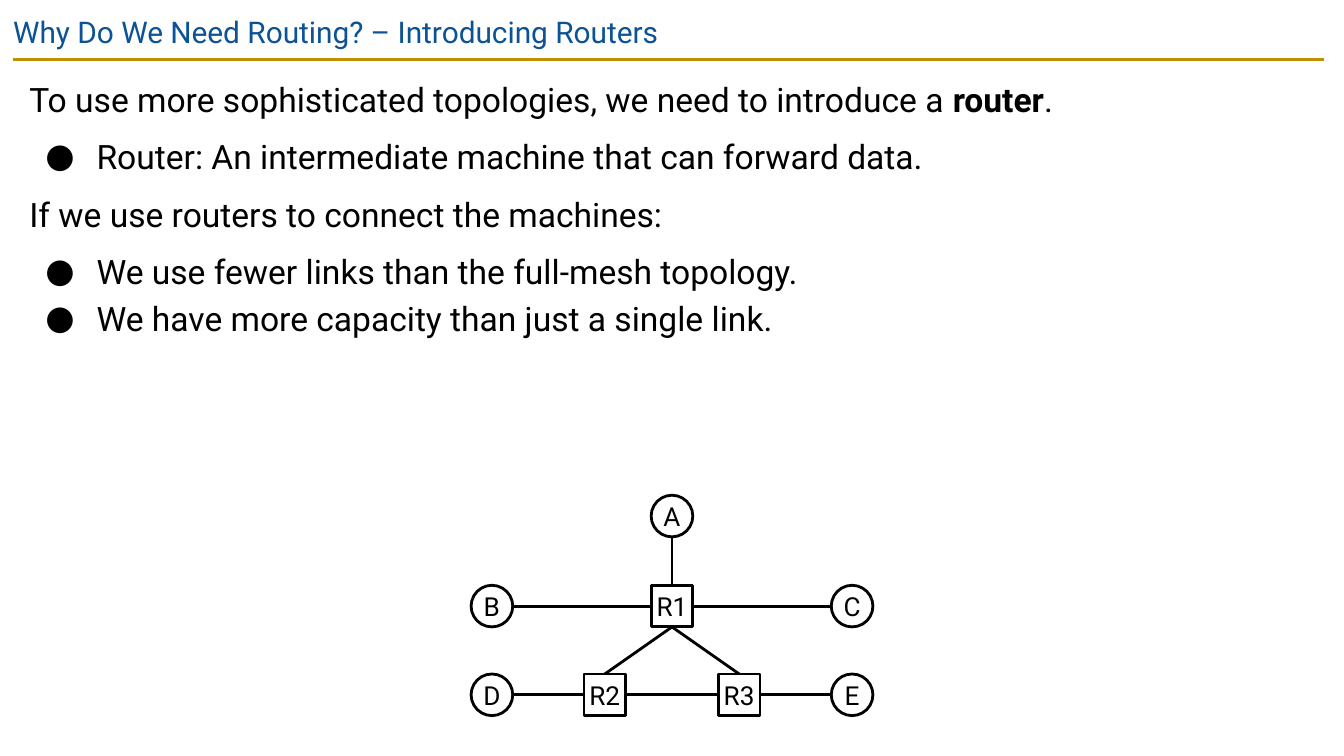
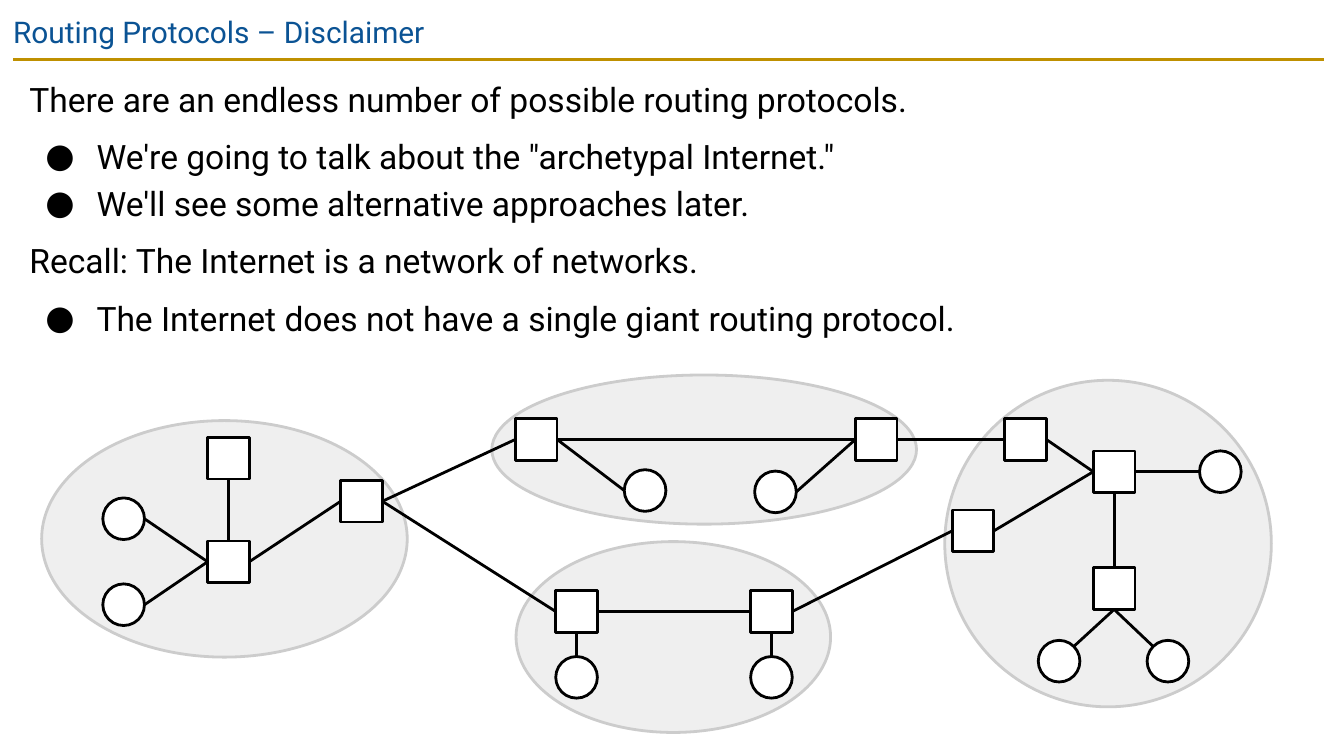
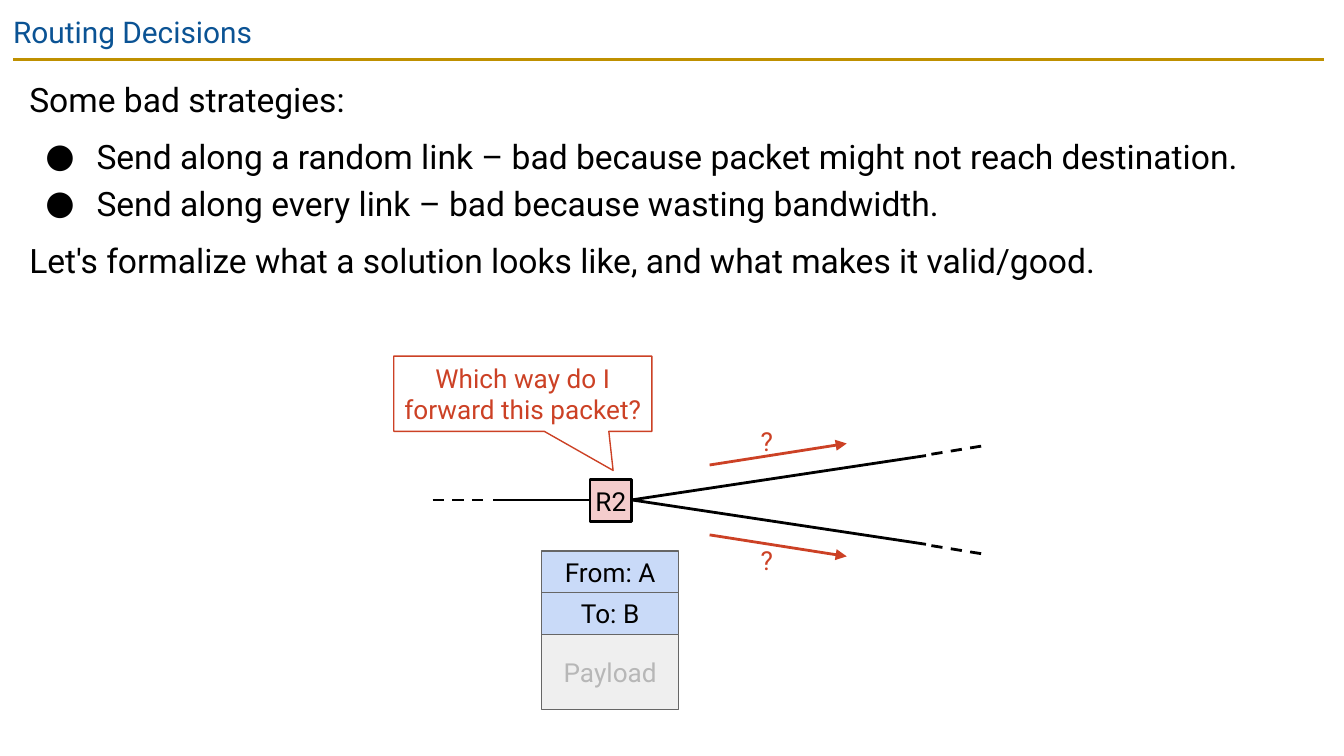
from lxml.etree import SubElement
from pptx import Presentation
from pptx.dml.color import RGBColor
from pptx.enum.dml import MSO_LINE as Dash
from pptx.enum.shapes import MSO_CONNECTOR as Link, MSO_SHAPE as Kind
from pptx.enum.text import MSO_ANCHOR as Anchor, PP_ALIGN as Align
from pptx.oxml.ns import qn
from pptx.util import Inches, Pt

FONT = "Roboto"
BLACK, WHITE, BLUE, GOLD = "000000", "FFFFFF", "0B5394", "BF9000"
RED, PINK, SKY = "CC4125", "F4CCCC", "C9DAF8"
PALE, SILVER, GRAY, DARK = "EFEFEF", "CCCCCC", "B7B7B7", "666666"
SIZE = 0.31
HALF = SIZE / 2
ARC = 0.11
SIDES = {
    "t": (0, -HALF), "b": (0, HALF), "l": (-HALF, 0), "r": (HALF, 0),
    "tl": (-ARC, -ARC), "tr": (ARC, -ARC),
}
hue = RGBColor.from_string


def put(slide, kind, box, text="", ink=BLACK, fill=None, edge=BLACK, width=1.5):
    box = [Inches(v) for v in box]
    if kind is None:
        shape = slide.shapes.add_textbox(*box)
    else:
        shape = slide.shapes.add_shape(kind, *box)
        shape.shadow.inherit = False
        shape.line.color.rgb = hue(edge)
        shape.line.width = Pt(width)
        if fill:
            shape.fill.solid()
            shape.fill.fore_color.rgb = hue(fill)
        else:
            shape.fill.background()
    frame = shape.text_frame
    frame.word_wrap = True
    frame.margin_left = frame.margin_right = 0
    frame.margin_top = frame.margin_bottom = 0
    frame.vertical_anchor = Anchor.MIDDLE
    if text:
        par = frame.paragraphs[0]
        par.text = text
        par.alignment = Align.CENTER
        par.font.name, par.font.size = FONT, Pt(14)
        par.font.color.rgb = hue(ink)
    return shape


def join(slide, ends, ink=BLACK, dash=False, arrow=False):
    wire = slide.shapes.add_connector(Link.STRAIGHT, *[Inches(v) for v in ends])
    wire.line.color.rgb = hue(ink)
    wire.line.width = Pt(1.5)
    if dash:
        wire.line.dash_style = Dash.DASH
    if arrow:
        SubElement(wire.line._get_or_add_ln(), qn("a:tailEnd"), type="triangle")
    SubElement(wire._element.spPr, qn("a:effectLst"))


pages = [
    ("Why Do We Need Routing? – Introducing Routers", 2.37, [
        "To use more sophisticated topologies, we need to introduce a *router*.",
        "● Router: An intermediate machine that can forward data.",
        "If we use routers to connect the machines:",
        "● We use fewer links than the full-mesh topology.",
        "● We have more capacity than just a single link.",
    ]),
    ("Routing Protocols – Disclaimer", 2.16, [
        "There are an endless number of possible routing protocols.",
        "● We're going to talk about the \"archetypal Internet.\"",
        "● We'll see some alternative approaches later.",
        "Recall: The Internet is a network of networks.",
        "● The Internet does not have a single giant routing protocol.",
    ]),
    ("Routing Decisions", 1.8, [
        "Some bad strategies:",
        "● Send along a random link – bad because packet might not reach destination.",
        "● Send along every link – bad because wasting bandwidth.",
        "Let's formalize what a solution looks like, and what makes it valid/good.",
    ]),
]

deck = Presentation()
deck.slide_width = Inches(10)
deck.slide_height = deck.slide_width * 9 // 16
slides = []
for title, height, lines in pages:
    slide = deck.slides.add_slide(deck.slide_layouts[6])
    slides.append(slide)
    join(slide, (0.1, 0.44, 9.85, 0.44), GOLD)

    head = put(slide, None, (0, 0, 10, 0.43), title, BLUE).text_frame
    par = head.paragraphs[0]
    par.alignment = Align.LEFT
    par.font.size = Pt(16)

    body = put(slide, None, (0.12, 0.44, 9.74, height)).text_frame
    for frame in (head, body):
        frame.vertical_anchor = Anchor.TOP
        frame.margin_left = frame.margin_right = Inches(0.1)
        frame.margin_top = frame.margin_bottom = Inches(0.1)
    listed = False
    for i, line in enumerate(lines):
        par = body.paragraphs[0] if i == 0 else body.add_paragraph()
        item = line.startswith("● ")
        par.line_spacing = 1.15
        par.space_before = Pt(0 if item and listed else 6)
        par.font.name, par.font.size = FONT, Pt(18)
        par.font.color.rgb = hue(BLACK)
        if item:
            props = par._p.get_or_add_pPr()
            props.set("marL", str(Inches(0.5)))
            props.set("indent", str(Inches(-0.38)))
            last = props.find(qn("a:defRPr"))
            last.addprevious(SubElement(props, qn("a:buFont"), typeface=FONT))
            last.addprevious(SubElement(props, qn("a:buChar"), char="●"))
        for j, part in enumerate(line.removeprefix("● ").split("*")):
            run = par.add_run()
            run.text = part
            if j % 2:
                run.font.bold = True
        listed = item

mesh, nets, choice = slides

for box in [
    (3.84, 4.03, 2.34, 1.42), (3.66, 2.79, 3.16, 1.11),
    (7.03, 2.83, 2.43, 2.43), (0.31, 3.13, 2.72, 1.76),
]:
    put(nets, Kind.OVAL, box, fill=PALE, edge=SILVER)

graphs = [
    (mesh, True, {
        "A": (5, 3.84), "B": (3.66, 4.51), "C": (6.34, 4.51),
        "D": (3.66, 5.17), "E": (6.34, 5.17),
        "R1": (5, 4.51), "R2": (4.5, 5.17), "R3": (5.5, 5.17),
    }, "A.b-R1.t B.r-R1.l R1.r-C.l R1.b-R2.t R1.b-R3.t D.r-R2.l R2.r-R3.l R3.r-E.l"),
    (nets, False, {
        "R1": (1.7, 4.18), "R2": (1.7, 3.41), "R3": (2.69, 3.73),
        "R4": (3.99, 3.27), "R5": (6.52, 3.27),
        "R6": (4.29, 4.55), "R7": (5.74, 4.55),
        "R8": (7.24, 3.95), "R9": (7.63, 3.27),
        "R10": (8.29, 3.51), "R11": (8.29, 4.38),
        "H1": (0.92, 3.86), "H2": (0.92, 4.5),
        "H3": (4.8, 3.65), "H4": (5.77, 3.66),
        "H5": (4.29, 5.04), "H6": (5.74, 5.04),
        "H7": (7.88, 4.92), "H8": (8.69, 4.92), "H9": (9.08, 3.51),
    }, "H1.r-R1.l H2.r-R1.l R2.b-R1.t R1.r-R3.l R3.r-R4.l R3.r-R6.l "
       "R4.r-R5.l R4.r-H3.l R5.l-H4.r R5.r-R9.l R6.r-R7.l R6.b-H5.t "
       "R7.b-H6.t R7.r-R8.l R8.r-R10.l R9.r-R10.l R10.r-H9.l "
       "R10.b-R11.t R11.b-H7.tr R11.b-H8.tl"),
]
for slide, named, nodes, links in graphs:
    for name, (x, y) in nodes.items():
        kind = Kind.RECTANGLE if name.startswith("R") else Kind.OVAL
        box = (x - HALF, y - HALF, SIZE, SIZE)
        put(slide, kind, box, name if named else "", fill=WHITE)
    for pair in links.split():
        ends = []
        for end in pair.split("-"):
            name, side = end.split(".")
            ends += [a + b for a, b in zip(nodes[name], SIDES[side])]
        join(slide, ends)

for text, top, tall, fill, ink in [
    ("From: A", 4.1, SIZE, SKY, BLACK),
    ("To: B", 4.41, SIZE, SKY, BLACK),
    ("Payload", 4.72, 0.56, PALE, GRAY),
]:
    put(choice, Kind.RECTANGLE, (4.03, top, 1.02, tall), text, ink, fill, DARK, 0.75)

ask = put(choice, Kind.ROUNDED_RECTANGULAR_CALLOUT, (2.93, 2.65, 1.92, 0.56),
          "Which way do I forward this packet?", RED, edge=RED, width=0.75)
for i, value in enumerate((0.35, 1.02, 0)):
    ask.adjustments[i] = value

mid = 3.72
join(choice, (3.67, mid, 4.39, mid))
join(choice, (3.22, mid, 3.6, mid), dash=True)
for sign, top in ((-1, 3.16), (1, 4.05)):
    join(choice, (4.7, mid, 6.89, mid + sign * 0.33))
    join(choice, (6.93, mid + sign * 0.34, 7.3, mid + sign * 0.4), dash=True)
    join(choice, (5.28, mid + sign * 0.26, 6.3, mid + sign * 0.42), RED, arrow=True)
    put(choice, None, (5.6, top, 0.21, 0.24), "?", RED)
put(choice, Kind.RECTANGLE, (4.39, 3.57, SIZE, SIZE), "R2", fill=PINK)

deck.save("out.pptx")
